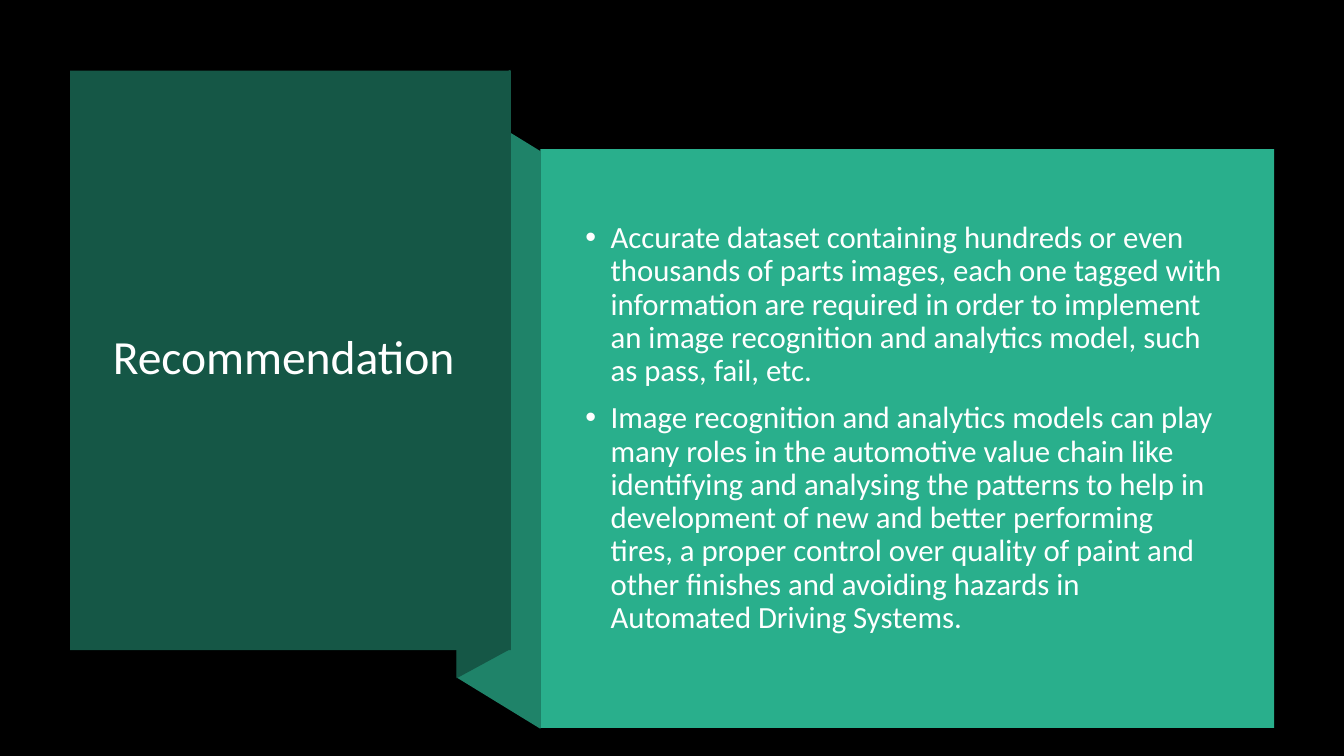
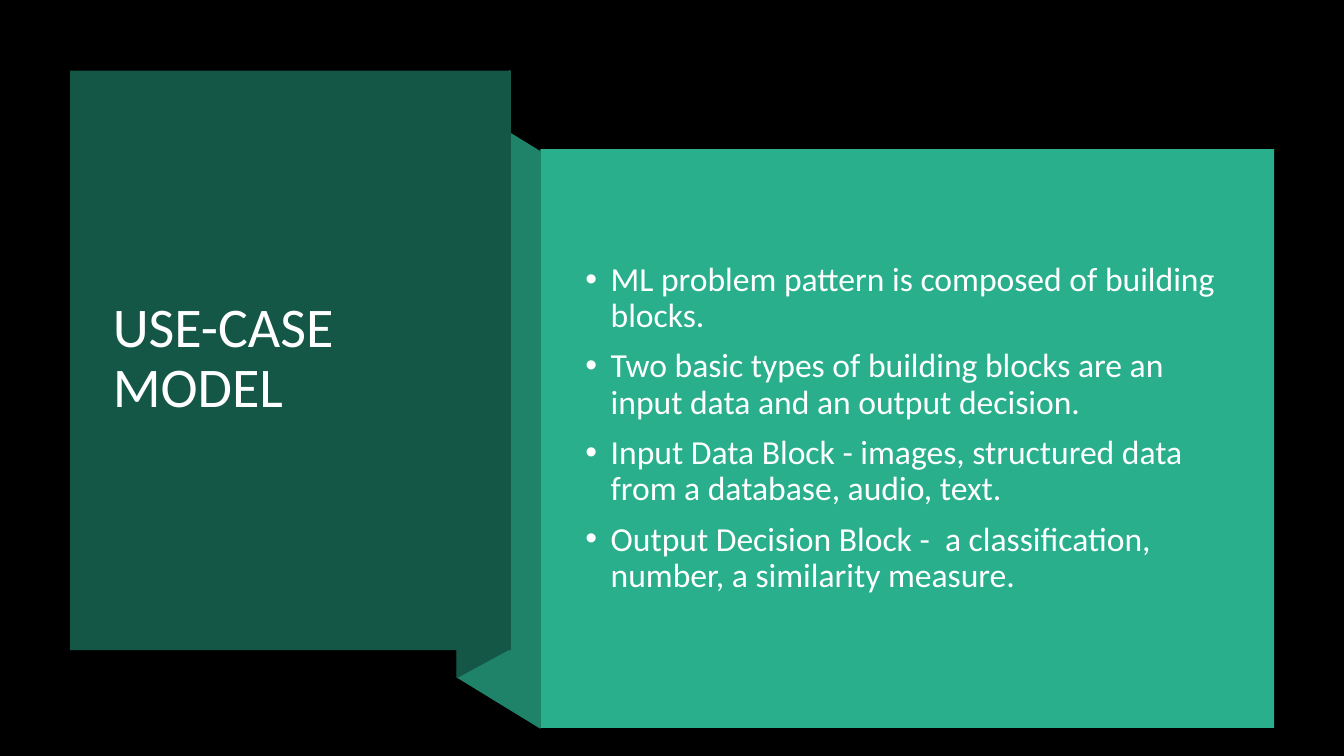
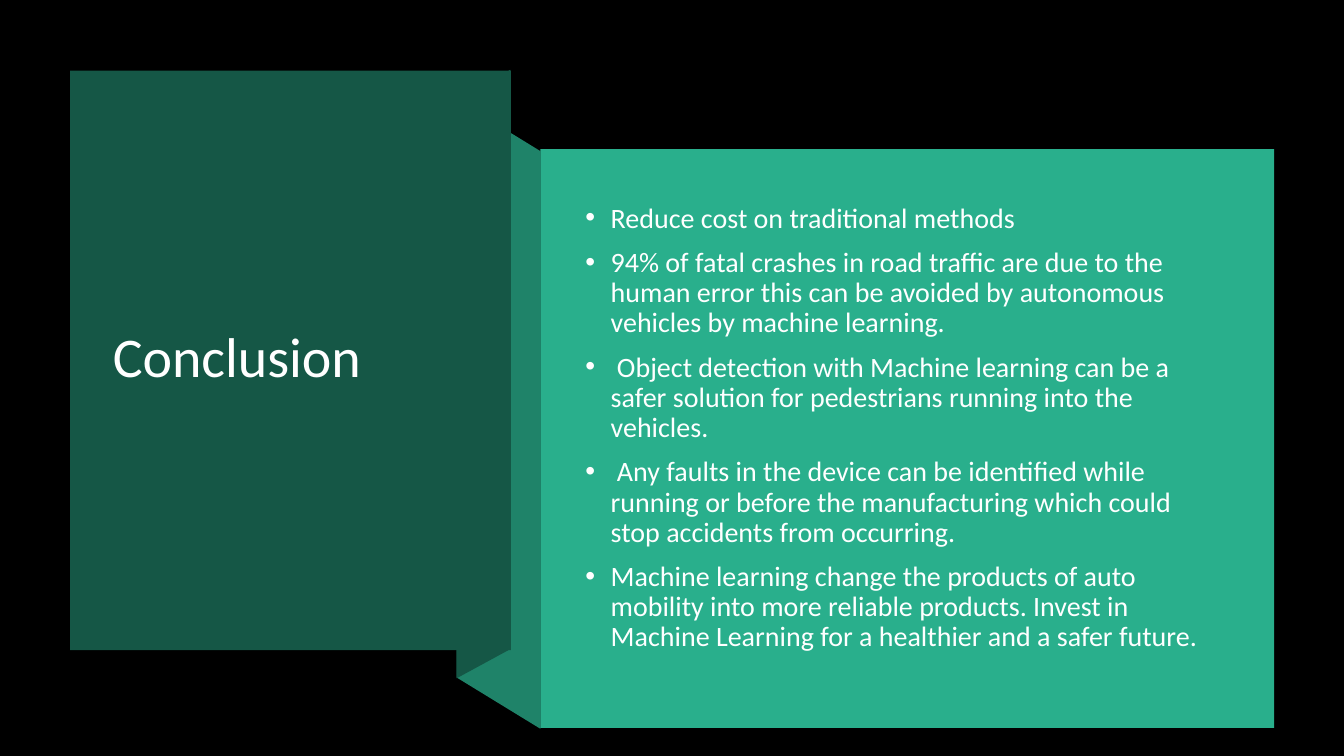
from dataclasses import dataclass

from lxml.etree import SubElement
from pptx import Presentation
from pptx.dml.color import RGBColor
from pptx.enum.shapes import MSO_SHAPE
from pptx.enum.text import MSO_ANCHOR, MSO_AUTO_SIZE, PP_ALIGN
from pptx.oxml.ns import qn
from pptx.util import Pt


@dataclass(frozen=True)
class Theme:
    """Colours and type shared by every slide."""

    font: str = "Calibri"
    backdrop: RGBColor = RGBColor(0x00, 0x00, 0x00)
    title_panel: RGBColor = RGBColor(0x15, 0x57, 0x46)
    fold: RGBColor = RGBColor(0x1F, 0x83, 0x69)
    body_panel: RGBColor = RGBColor(0x29, 0xAF, 0x8C)
    title_text: RGBColor = RGBColor(0xFF, 0xFF, 0xFF)
    body_text: RGBColor = RGBColor(0xFE, 0xFF, 0xFF)
    title_size: int = 40
    long_title_size: int = 34
    line_spacing: float = 0.9
    bullet_gap: int = 10
    bullet_indent: int = 18


THEME = Theme()

TITLE_PANEL = (50, 50.4, 315, 414)
BODY_PANEL = (386, 106.6, 524.2, 413.4)
TITLE_BOX = (73.4, 77, 267.1, 359.3)
BODY_BOX = (411.1, 135.4, 468.7, 341.3)
LIGHT_FOLD = ((386, 520.6), (326.2, 484), (326.2, 71.3), (386, 108))
DARK_FOLD = ((364.5, 463.7), (326.2, 484.5), (326.2, 70.6), (364.5, 49.9))

SLIDES = (
    ("Recommendation", THEME.long_title_size, 22, (
        "Accurate dataset containing hundreds or even thousands of parts images, each one tagged "
        "with information are required in order to implement an image recognition and analytics "
        "model, such as pass, fail, etc.",
        "Image recognition and analytics models can play many roles in the automotive value chain "
        "like identifying and analysing the patterns to help in development of new and better "
        "performing tires, a proper control over quality of paint and other finishes and avoiding "
        "hazards in Automated Driving Systems.",
    )),
    ("USE-CASE MODEL", THEME.title_size, 24, (
        "ML problem pattern is composed of building blocks.",
        "Two basic types of building blocks are an input data and an output decision.",
        "Input Data Block - images, structured data from a database, audio, text.",
        "Output Decision Block -  a classification, number, a similarity measure.",
    )),
    ("Conclusion", THEME.title_size, 20, (
        "Reduce cost on traditional methods",
        "94% of fatal crashes in road traffic are due to the human error this can be avoided by "
        "autonomous vehicles by machine learning.",
        " Object detection with Machine learning can be a safer solution for pedestrians running "
        "into the vehicles.",
        " Any faults in the device can be identified while running or before the manufacturing "
        "which could stop accidents from occurring.",
        "Machine learning change the products of auto mobility into more reliable products. Invest "
        "in Machine Learning for a healthier and a safer future.",
    )),
)


def in_points(values):
    """Convert plain numbers to lengths in points."""
    return [Pt(value) for value in values]


def paint(shape, colour):
    """Give a shape a flat fill with no line or shadow."""
    shape.shadow.inherit = False
    shape.fill.solid()
    shape.fill.fore_color.rgb = colour
    shape.line.fill.background()


def add_panel(slide, box, colour):
    """Add a flat rectangle."""
    paint(slide.shapes.add_shape(MSO_SHAPE.RECTANGLE, *in_points(box)), colour)


def add_fold(slide, corners, colour):
    """Add one side of the ribbon fold joining the two panels."""
    start, *others = [in_points(corner) for corner in corners]
    outline = slide.shapes.build_freeform(*start)
    outline.add_line_segments(others, close=True)
    paint(outline.convert_to_shape(), colour)


def prepare_frame(frame):
    """Wrap text and centre it vertically at a fixed size."""
    frame.word_wrap = True
    frame.auto_size = MSO_AUTO_SIZE.NONE
    frame.vertical_anchor = MSO_ANCHOR.MIDDLE


def write(paragraph, text, size, colour):
    """Put one formatted run in a left-aligned paragraph."""
    paragraph.alignment = PP_ALIGN.LEFT
    paragraph.line_spacing = THEME.line_spacing
    run = paragraph.add_run()
    run.text = text
    run.font.name = THEME.font
    run.font.size = Pt(size)
    run.font.color.rgb = colour


def add_bullet(paragraph):
    """Give a paragraph a round bullet with a hanging indent."""
    properties = paragraph._p.get_or_add_pPr()
    properties.set("marL", str(Pt(THEME.bullet_indent)))
    properties.set("indent", str(-Pt(THEME.bullet_indent)))
    SubElement(properties, qn("a:buFont")).set("typeface", "Arial")
    SubElement(properties, qn("a:buChar")).set("char", "•")


def place_title(slide, text, size):
    """Move the title placeholder onto its panel and fill it."""
    title = slide.shapes.title
    slide.shapes.element.append(title.element)
    title.left, title.top, title.width, title.height = in_points(TITLE_BOX)
    prepare_frame(title.text_frame)
    write(title.text_frame.paragraphs[0], text, size, THEME.title_text)


def add_bullets(slide, points, size):
    """Add the bulleted body text."""
    frame = slide.shapes.add_textbox(*in_points(BODY_BOX)).text_frame
    prepare_frame(frame)
    for index, point in enumerate(points):
        paragraph = frame.add_paragraph() if index else frame.paragraphs[0]
        add_bullet(paragraph)
        paragraph.space_before = Pt(THEME.bullet_gap if index else 0)
        write(paragraph, point, size, THEME.body_text)


def add_ribbon_slide(deck, heading, heading_size, body_size, points):
    """Add a slide with a title panel folded into a body panel."""
    slide = deck.slides.add_slide(deck.slide_layouts.get_by_name("Title Only"))
    add_fold(slide, LIGHT_FOLD, THEME.fold)
    add_fold(slide, DARK_FOLD, THEME.title_panel)
    add_panel(slide, TITLE_PANEL, THEME.title_panel)
    place_title(slide, heading, heading_size)
    add_panel(slide, BODY_PANEL, THEME.body_panel)
    add_bullets(slide, points, body_size)


def main():
    """Build and save the presentation."""
    deck = Presentation()
    deck.slide_width, deck.slide_height = Pt(960), Pt(540)
    backdrop = deck.slide_master.background.fill
    backdrop.solid()
    backdrop.fore_color.rgb = THEME.backdrop
    for content in SLIDES:
        add_ribbon_slide(deck, *content)
    deck.save("out.pptx")


if __name__ == "__main__":
    main()
